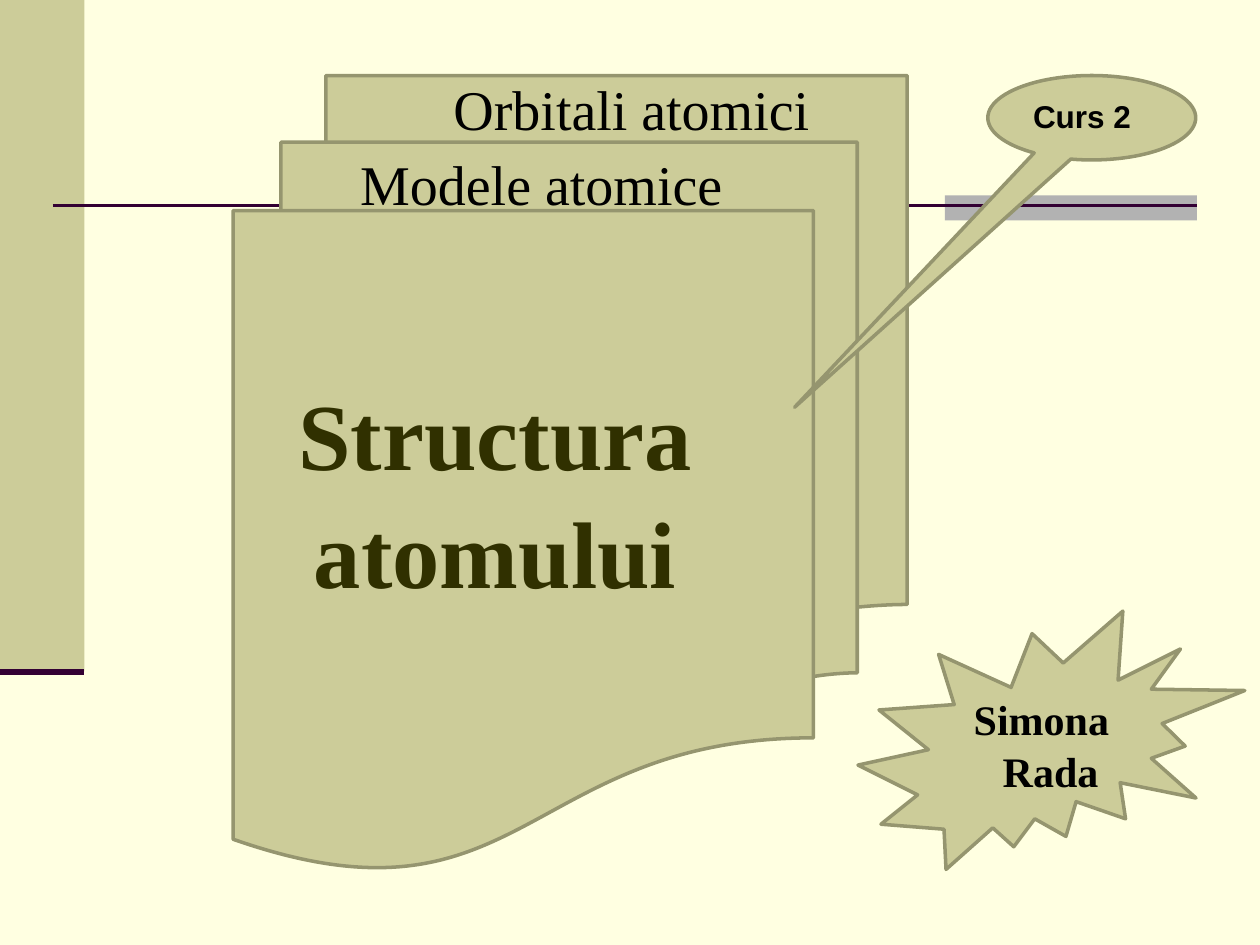
from dataclasses import dataclass

from pptx import Presentation
from pptx.dml.color import RGBColor
from pptx.enum.shapes import MSO_CONNECTOR, MSO_SHAPE
from pptx.enum.text import PP_ALIGN
from pptx.oxml.ns import qn
from pptx.util import Inches, Pt
from lxml.etree import SubElement


@dataclass(frozen=True)
class Theme:
    """Colours, fonts and sizes of the slide."""
    paper: str = "FFFFE1"
    khaki: str = "CCCC99"
    outline: str = "95956F"
    grey: str = "B2B2B2"
    plum: str = "330033"
    title_ink: str = "303000"
    ink: str = "000000"
    serif: str = "Times New Roman"
    sans: str = "Arial"
    title_size: int = 54
    label_size: int = 32
    author_size: int = 24
    course_size: int = 18
    outline_width: int = 2
    leading: float = 1.04


THEME = Theme()


def rgb(color):
    """Turn a hex string into a colour."""
    return RGBColor.from_string(color)


def add_panel(slide, preset, box, fill, outline=None):
    """Add a filled preset shape, outlined if a line colour is given."""
    panel = slide.shapes.add_shape(preset, *map(Inches, box))
    panel.shadow.inherit = False
    panel.fill.solid()
    panel.fill.fore_color.rgb = rgb(fill)
    if outline:
        panel.line.color.rgb = rgb(outline)
        panel.line.width = Pt(THEME.outline_width)
    else:
        panel.line.fill.background()
    return panel


def add_rule(slide, left, right, y, width):
    """Add a horizontal line without a shadow."""
    rule = slide.shapes.add_connector(
        MSO_CONNECTOR.STRAIGHT, Inches(left), Inches(y), Inches(right), Inches(y))
    rule.line.color.rgb = rgb(THEME.plum)
    rule.line.width = Pt(width)
    SubElement(rule._element.spPr, qn("a:effectLst"))


def add_label(slide, box, lines, size, font=THEME.serif, color=THEME.ink,
              bold=False, align=PP_ALIGN.LEFT):
    """Add a text box from pairs of text and left indent."""
    frame = slide.shapes.add_textbox(*map(Inches, box)).text_frame
    frame.word_wrap = True
    for index, (text, indent) in enumerate(lines):
        paragraph = frame.add_paragraph() if index else frame.paragraphs[0]
        paragraph.alignment = align
        paragraph.line_spacing = THEME.leading
        if indent:
            paragraph._p.get_or_add_pPr().set("marL", str(Inches(indent)))
        run = paragraph.add_run()
        run.text = text
        run.font.name = font
        run.font.size = Pt(size)
        run.font.bold = bold
        run.font.color.rgb = rgb(color)


def add_backdrop(slide):
    """Draw the background, side band and rules."""
    slide.background.fill.solid()
    slide.background.fill.fore_color.rgb = rgb(THEME.paper)
    add_panel(slide, MSO_SHAPE.RECTANGLE, (0, 0, 0.67, 5.33), THEME.khaki)
    add_panel(slide, MSO_SHAPE.RECTANGLE, (7.5, 1.55, 2, 0.2), THEME.grey)
    add_rule(slide, 0.42, 9.5, 1.63, 1.5)
    add_rule(slide, 0, 0.67, 5.33, 3.5)


def add_documents(slide):
    """Draw the stacked pages with their topics."""
    add_panel(slide, MSO_SHAPE.FLOWCHART_MULTIDOCUMENT, (1.85, 0.6, 5.35, 6.3),
              THEME.khaki, THEME.outline)
    add_label(slide, (2.16, 2.9, 3.54, 2.8), [("Structura atomului", 0)],
              THEME.title_size, color=THEME.title_ink, bold=True, align=PP_ALIGN.CENTER)
    add_label(slide, (2.76, 1.12, 3.54, 0.64), [("Modele atomice", 0)], THEME.label_size)
    add_label(slide, (3.5, 0.52, 3.39, 0.64), [("Orbitali atomici", 0)], THEME.label_size)


def add_course(slide):
    """Draw the callout with the course number."""
    callout = add_panel(slide, MSO_SHAPE.OVAL_CALLOUT, (7.84, 0.6, 1.65, 0.67),
                        THEME.khaki, THEME.outline)
    callout.adjustments[0] = -1.43
    callout.adjustments[1] = 3.43
    add_label(slide, (8.1, 0.71, 1.18, 0.7), [("Curs 2", 0)],
              THEME.course_size, font=THEME.sans, bold=True)


def add_author(slide):
    """Draw the burst with the author's name."""
    add_panel(slide, MSO_SHAPE.EXPLOSION2, (6.81, 4.85, 3.07, 2.05),
              THEME.khaki, THEME.outline)
    add_label(slide, (7.36, 5.44, 1.86, 0.9), [("Simona", 0.27), ("Rada", 0.5)],
              THEME.author_size, bold=True)


def main():
    """Build and save the slide."""
    deck = Presentation()
    deck.slide_width, deck.slide_height = Inches(10), Inches(7.5)
    slide = deck.slides.add_slide(deck.slide_layouts[6])
    add_backdrop(slide)
    add_documents(slide)
    add_course(slide)
    add_author(slide)
    deck.save("out.pptx")


if __name__ == "__main__":
    main()
